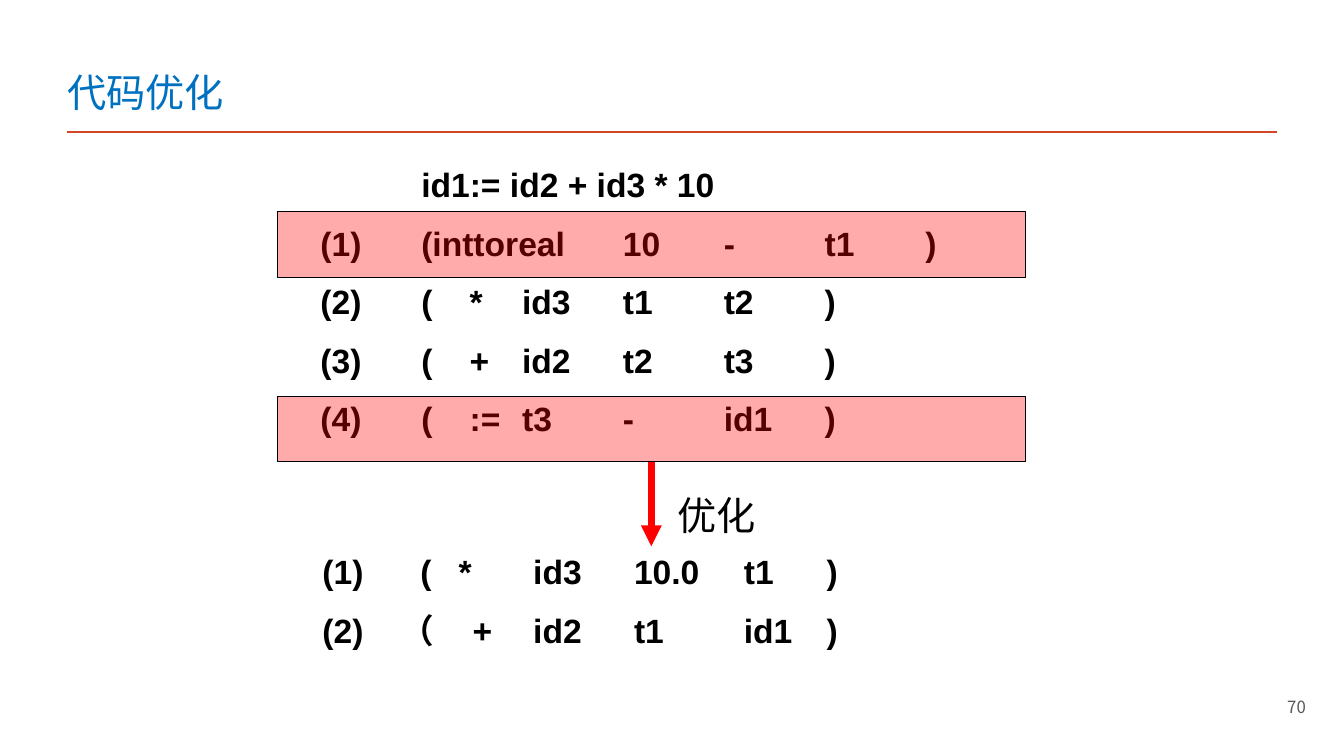
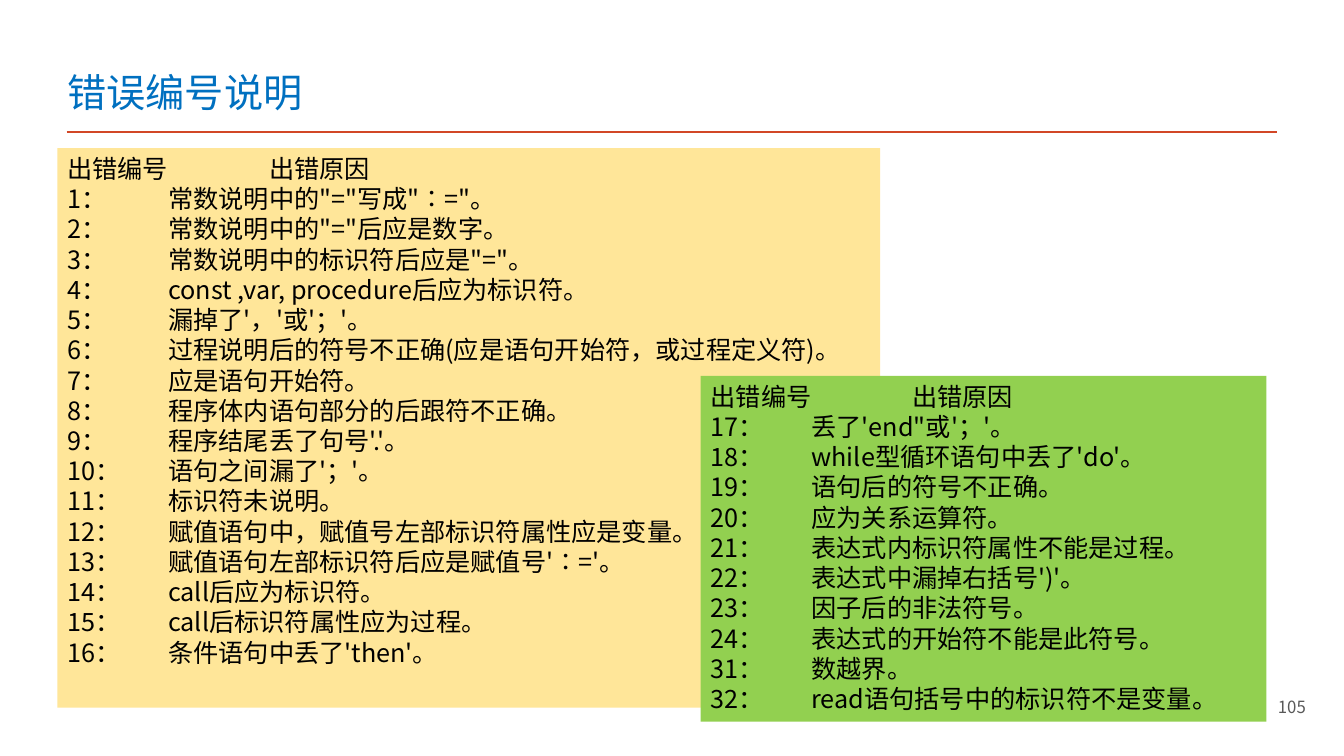
"""Build two compiler-course slides: code optimisation and error numbers."""
from lxml import etree
from pptx import Presentation
from pptx.dml.color import RGBColor
from pptx.enum.shapes import MSO_CONNECTOR, MSO_SHAPE
from pptx.enum.text import MSO_ANCHOR, PP_ALIGN
from pptx.oxml.ns import qn
from pptx.util import Inches, Pt

STRAIGHT = MSO_CONNECTOR.STRAIGHT
RECTANGLE = MSO_SHAPE.RECTANGLE
TOP, BOTTOM = MSO_ANCHOR.TOP, MSO_ANCHOR.BOTTOM
LEFT, RIGHT = PP_ALIGN.LEFT, PP_ALIGN.RIGHT

BLUE, ORANGE, GRAY = "0070C0", "D24726", "595959"
BLACK, RED, YELLOW, GREEN = "000000", "FF0000", "FFE699", "92D050"
CJK, CODE, LABEL = "Noto Sans CJK SC", "Arial", "Cabin"

CODE_TABS = (1, 1.48, 2, 3, 4, 5, 6)
RESULT_TABS = (2.09, 3.09, 4.18, 5)
QUADRUPLES = [
    ("", "id1:= id2 + id3 * 10"),
    ("(1)", "(inttoreal", "10", "-", "t1", ")"),
    ("(2)", "(", "*", "id3", "t1", "t2", ")"),
    ("(3)", "(", "+", "id2", "t2", "t3", ")"),
    ("(4)", "(", ":=", "t3", "-", "id1", ")"),
]
OPTIMIZED = [
    (("(1)", "(", "*", "id3", "10.0", "t1", ")"), (0.97, 1.35)),
    (("(2)", "（", "+", "id2", "t1", "id1", ")"), (0.77, 1.49)),
]
HIGHLIGHT_TOPS = (3.93, 2.1)

ERROR_HEADER = ("出错编号", "出错原因")
FIRST_ERRORS = [
    ("1：", "常数说明中的\"=\"写成\"∶=\"。"),
    ("2：", "常数说明中的\"=\"后应是数字。"),
    ("3：", "常数说明中的标识符后应是\"=\"。"),
    ("4：", "const ,var, procedure后应为标识符。"),
    ("5：", "漏掉了'，'或'；'。"),
    ("6：", "过程说明后的符号不正确(应是语句开始符，或过程定义符)。"),
    ("7：", "应是语句开始符。"),
    ("8：", "程序体内语句部分的后跟符不正确。"),
    ("9：", "程序结尾丢了句号'.'。"),
    ("10：", "语句之间漏了'；'。"),
    ("11：", "标识符未说明。"),
    ("12：", "赋值语句中，赋值号左部标识符属性应是变量。"),
    ("13：", "赋值语句左部标识符后应是赋值号'∶='。"),
    ("14：", "call后应为标识符。"),
    ("15：", "call后标识符属性应为过程。"),
    ("16：", "条件语句中丢了'then'。"),
]
LATER_ERRORS = [
    ("17：", "丢了'end\"或'；'。"),
    ("18：", "while型循环语句中丢了'do'。"),
    ("19：", "语句后的符号不正确。"),
    ("20：", "应为关系运算符。"),
    ("21：", "表达式内标识符属性不能是过程。"),
    ("22：", "表达式中漏掉右括号')'。"),
    ("23：", "因子后的非法符号。"),
    ("24：", "表达式的开始符不能是此符号。"),
    ("31：", "数越界。"),
    ("32：", "read语句括号中的标识符不是变量。"),
]
ERROR_PANELS = [
    ((0.57, 1.47, 8.16, 5.55), YELLOW, FIRST_ERRORS),
    ((6.95, 3.73, 5.61, 3.43), GREEN, LATER_ERRORS),
]


def color(value):
    return RGBColor.from_string(value)


def add_text(frame, rows, size, font=CJK, fill=BLACK, bold=False, align=LEFT,
             anchor=TOP, space_before=0, line_spacing=None, wrap=True):
    """Fill a text frame from (cells, tab stops) rows."""
    frame.word_wrap = wrap
    frame.vertical_anchor = anchor
    for index, (cells, tabs) in enumerate(rows):
        paragraph = frame.add_paragraph() if index else frame.paragraphs[0]
        if tabs:
            properties = paragraph._p.get_or_add_pPr()
            tab_list = etree.SubElement(properties, qn("a:tabLst"))
            for stop in tabs:
                etree.SubElement(tab_list, qn("a:tab"), pos=str(Inches(stop)), algn="l")
        paragraph.alignment = align
        if index and space_before:
            paragraph.space_before = Pt(space_before)
        if line_spacing:
            paragraph.line_spacing = line_spacing
        run = paragraph.add_run()
        run.text = "\t".join(cells)
        run.font.size = Pt(size)
        run.font.bold = bold
        run.font.color.rgb = color(fill)
        run.font.name = font
        etree.SubElement(run._r.get_or_add_rPr(), qn("a:ea"), typeface=font)


def add_text_box(slide, box, rows, size, **text_format):
    shape = slide.shapes.add_textbox(*map(Inches, box))
    add_text(shape.text_frame, rows, size, **text_format)
    return shape


def add_rectangle(slide, box, fill, alpha=None, line=None):
    shape = slide.shapes.add_shape(RECTANGLE, *map(Inches, box))
    shape.shadow.inherit = False
    shape.fill.solid()
    shape.fill.fore_color.rgb = color(fill)
    if alpha:
        fill_color = shape._element.spPr.find(qn("a:solidFill"))[0]
        etree.SubElement(fill_color, qn("a:alpha"), val=str(alpha * 1000))
    if line:
        shape.line.color.rgb = color(line)
        shape.line.width = Pt(0.75)
    else:
        shape.line.fill.background()
    return shape


def add_line(slide, ends, fill, width, arrow=False):
    connector = slide.shapes.add_connector(STRAIGHT, *map(Inches, ends))
    connector.line.color.rgb = color(fill)
    connector.line.width = Pt(width)
    if arrow:
        line = connector.line._get_or_add_ln()
        etree.SubElement(line, qn("a:tailEnd"), type="triangle")
    etree.SubElement(connector._element.spPr, qn("a:effectLst"))


def add_base_slide(presentation, title, number):
    """Add a slide with the shared rule, title and page number."""
    slide = presentation.slides.add_slide(presentation.slide_layouts[6])
    add_line(slide, (0.66, 1.31, 12.67, 1.31), ORANGE, 2)
    add_text_box(slide, (0.57, 0.49, 7.52, 0.7), [((title,), ())], 28,
                 fill=BLUE, anchor=BOTTOM)
    page = add_text_box(slide, (9.16, 6.91, 3.89, 0.4), [((number,), ())], 12,
                        fill=GRAY, align=RIGHT)
    page.text_frame.margin_top = 0
    return slide


def build_optimization(presentation):
    slide = add_base_slide(presentation, "代码优化", "70")
    code_format = {"font": CODE, "bold": True, "space_before": 13}
    add_text_box(slide, (3.08, 1.58, 7.08, 2.93),
                 [(cells, CODE_TABS) for cells in QUADRUPLES], 24, **code_format)
    for top in HIGHLIGHT_TOPS:
        add_rectangle(slide, (2.75, top, 7.42, 0.65), RED, alpha=33, line=BLACK)
    add_text_box(slide, (3.1, 5.42, 6.71, 1.11),
                 [(cells, tabs + RESULT_TABS) for cells, tabs in OPTIMIZED],
                 24, **code_format)
    add_line(slide, (6.46, 4.58, 6.46, 5.42), RED, 5, arrow=True)
    add_text_box(slide, (6.62, 4.59, 0.99, 0.72), [(("优化",), ())], 28,
                 font=LABEL, line_spacing=1.5, wrap=False)


def build_errors(presentation):
    slide = add_base_slide(presentation, "错误编号说明", "105")
    for box, fill, errors in ERROR_PANELS:
        panel = add_rectangle(slide, box, fill)
        rows = [(ERROR_HEADER, (2,))] + [(error, (1,)) for error in errors]
        add_text(panel.text_frame, rows, 18, line_spacing=Pt(21.6))


def main():
    presentation = Presentation()
    presentation.slide_width = Inches(13.33)
    presentation.slide_height = Inches(7.5)
    build_optimization(presentation)
    build_errors(presentation)
    presentation.save("out.pptx")


if __name__ == "__main__":
    main()
